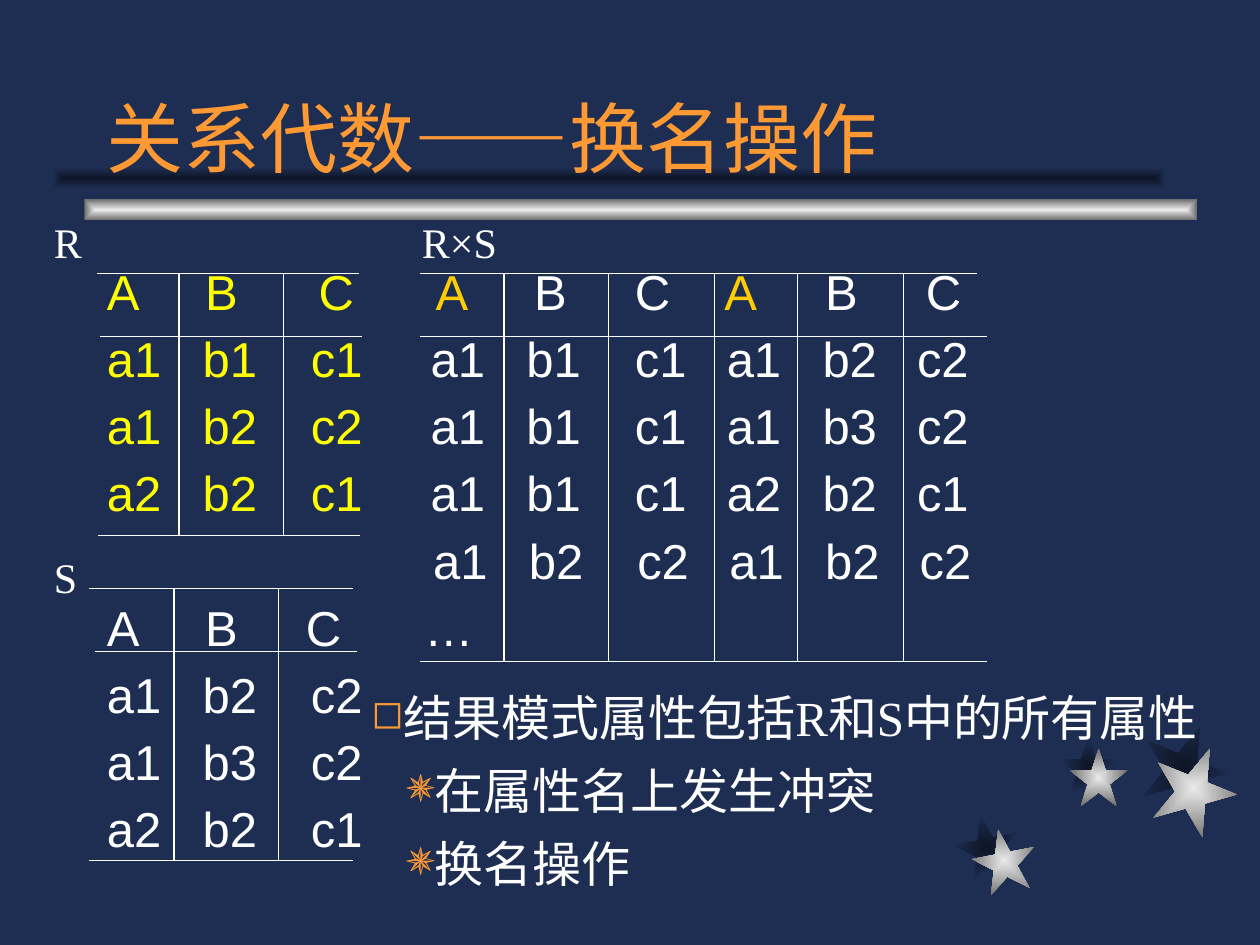
from lxml.etree import SubElement
from pptx import Presentation
from pptx.dml.color import RGBColor
from pptx.enum.shapes import MSO_CONNECTOR, MSO_SHAPE
from pptx.enum.text import MSO_ANCHOR
from pptx.oxml import parse_xml
from pptx.oxml.ns import nsdecls, qn
from pptx.util import Inches, Pt

COLORS = {"background": "1E2E53", "shade": "0E1526", "silver": "EAEAEA", "gray": "6C6C6C",
          "orange": "FF9933", "white": "FFFFFF", "yellow": "FFFF00", "gold": "FFCC00"}
SERIF, SANS = "Times New Roman", "Arial"

presentation = Presentation()
presentation.slide_width, presentation.slide_height = Inches(10), Inches(7.5)
slide = presentation.slides.add_slide(presentation.slide_layouts[6])
shapes = slide.shapes
slide.background.fill.solid()
slide.background.fill.fore_color.rgb = RGBColor.from_string(COLORS["background"])


def add_text_frame(left, top, width, height, wrap=True):
    text_frame = shapes.add_textbox(*map(Inches, (left, top, width, height))).text_frame
    text_frame.word_wrap = wrap
    return text_frame


def add_run(paragraph, text, size, font, color):
    run = paragraph.add_run()
    run.text = text
    run.font.size, run.font.name = Pt(size), font
    run.font.color.rgb = RGBColor.from_string(COLORS[color])


# Stars and bars, each with its dark shade: (shape, centre colour, edge colour)
STAR = [(0, 0.38), (0.38, 0.38), (0.5, 0), (0.62, 0.38), (1, 0.38),
        (0.69, 0.62), (0.81, 1), (0.5, 0.76), (0.19, 1), (0.31, 0.62)]
shade, metal = ("shade", "background"), ("silver", "gray")
decorations = []
for left, top, size, rotation, tones in [
        (7.58, 6.47, 0.5, 349, shade), (8.41, 5.85, 0.46, 0, shade), (9.06, 5.75, 0.67, 22, shade),
        (7.72, 6.58, 0.5, 349, metal), (8.49, 5.94, 0.46, 0, metal), (9.14, 5.92, 0.67, 22, metal)]:
    points = [(Inches(left + x * size), Inches(top + y * size)) for x, y in STAR]
    builder = shapes.build_freeform(*points[0])
    builder.add_line_segments(points[1:], close=True)
    star = builder.convert_to_shape()
    star.rotation = rotation
    decorations.append((star, tones))
for left, top, tones in [(0.67, 1.58, metal), (0.42, 1.33, shade)]:
    bar = shapes.add_shape(MSO_SHAPE.RECTANGLE, Inches(left), Inches(top), Inches(8.83), Inches(0.17))
    decorations.append((bar, tones))

for shape, (center, edge) in decorations:
    shape.shadow.inherit = False
    shape.line.fill.background()
    shape._element.spPr.find(qn("a:ln")).addprevious(parse_xml(
        f'<a:gradFill {nsdecls("a")} rotWithShape="0"><a:gsLst>'
        f'<a:gs pos="0"><a:srgbClr val="{COLORS[center]}"/></a:gs>'
        f'<a:gs pos="100000"><a:srgbClr val="{COLORS[edge]}"/></a:gs></a:gsLst>'
        '<a:path path="rect"><a:fillToRect l="50000" t="50000" r="50000" b="50000"/></a:path>'
        '</a:gradFill>'))

# Title
title = add_text_frame(0.75, 0.25, 8.5, 1.25)
title.vertical_anchor = MSO_ANCHOR.BOTTOM
add_run(title.paragraphs[0], "关系代数——", 44, SERIF, "orange")
add_run(title.paragraphs[0], "换名操作", 44, SANS, "orange")

# Relation names
for name, left, top, width in [("R×S", 3.25, 1.67, 1.17), ("R", 0.33, 1.67, 0.67), ("S", 0.33, 4.33, 1)]:
    add_run(add_text_frame(left, top, width, 0.5).paragraphs[0], name, 24, SERIF, "white")

# Relation rows, aligned with tab stops measured from the text's left edge
HEADER_STOPS = [0, 0.78, 1.68, 2.61, 3.39, 4.19, 4.9, 5.7, 6.5]
VALUE_STOPS = [0, 0.76, 1.62, 2.57, 3.33, 4.19, 4.92, 5.68, 6.43]
rows = [("A B C A B C A B C", HEADER_STOPS),
        ("a1 b1 c1 a1 b1 c1 a1 b2 c2", VALUE_STOPS),
        ("a1 b2 c2 a1 b1 c1 a1 b3 c2", VALUE_STOPS),
        ("a2 b2 c1 a1 b1 c1 a2 b2 c1", VALUE_STOPS),
        ("a1 b2 c2 a1 b2 c2", [stop + 0.02 for stop in VALUE_STOPS[3:]]),
        ("A B C …", [0, 0.78, 1.58, 2.52]),
        ("a1 b2 c2", VALUE_STOPS), ("a1 b3 c2", VALUE_STOPS), ("a2 b2 c1", VALUE_STOPS)]
body = add_text_frame(0.75, 2.08, 8.5, 5.42)
for row_index, (row, stops) in enumerate(rows):
    paragraph = body.paragraphs[0] if row_index == 0 else body.add_paragraph()
    paragraph.line_spacing, paragraph.space_before = 0.9, Pt(8.1)
    tab_list = SubElement(paragraph._p.get_or_add_pPr(), qn("a:tabLst"))
    for column, (value, stop) in enumerate(zip(row.split(), stops)):
        if stop:
            SubElement(tab_list, qn("a:tab"), pos=str(Inches(stop)), algn="l")
        color = "white"
        if row_index < 4 and column < 3:
            color = "yellow"
        elif row_index == 0 and value == "A":
            color = "gold"
        add_run(paragraph, f"\t{value}" if stop else value, 28, SANS, color)

# Table rules: horizontal (left, right, y), then vertical (x positions, top, bottom)
rules = [(left, y, right, y) for left, right, y in [
    (0.77, 2.85, 2.17), (0.79, 2.87, 2.67), (0.78, 2.86, 4.25),
    (0.71, 2.8, 4.67), (0.75, 2.83, 5.17), (0.71, 2.8, 6.83),
    (3.33, 7.75, 2.17), (3.33, 7.83, 2.67), (3.33, 7.83, 5.25)]]
for columns, top, bottom in [((1.42, 2.25), 2.17, 4.25), ((1.38, 2.21), 4.67, 6.83),
                             ((4, 4.83, 5.67, 6.33, 7.17), 2.17, 5.25)]:
    rules += [(x, top, x, bottom) for x in columns]
for ends in rules:
    rule = shapes.add_connector(MSO_CONNECTOR.STRAIGHT, *map(Inches, ends))
    rule.line.color.rgb = RGBColor.from_string(COLORS["white"])
    rule.line.width = Pt(1)
    SubElement(rule._element.spPr, qn("a:effectLst"))

# Bulleted conclusions
conclusions = add_text_frame(2.85, 5.41, 7.16, 1.7, wrap=False)
for index, (text, level, bullet, scale, margin) in enumerate([
        ("结果模式属性包括R和S中的所有属性", 0, "◻", 80, 0),
        ("在属性名上发生冲突", 1, "✵", 100, 0.28),
        ("换名操作", 1, "✵", 100, 0.28)]):
    paragraph = conclusions.paragraphs[0] if index == 0 else conclusions.add_paragraph()
    paragraph.level, paragraph.space_before = level, Pt(8)
    properties = paragraph._p.get_or_add_pPr()
    properties.set("marL", str(Inches(margin)))
    properties.set("indent", "0")
    bullet_color = SubElement(properties, qn("a:buClr"))
    SubElement(bullet_color, qn("a:srgbClr"), val=COLORS["orange"])
    SubElement(properties, qn("a:buSzPct"), val=str(scale * 1000))
    SubElement(properties, qn("a:buChar"), char=bullet)
    add_run(paragraph, text, 28, SERIF, "white")

presentation.save("out.pptx")
